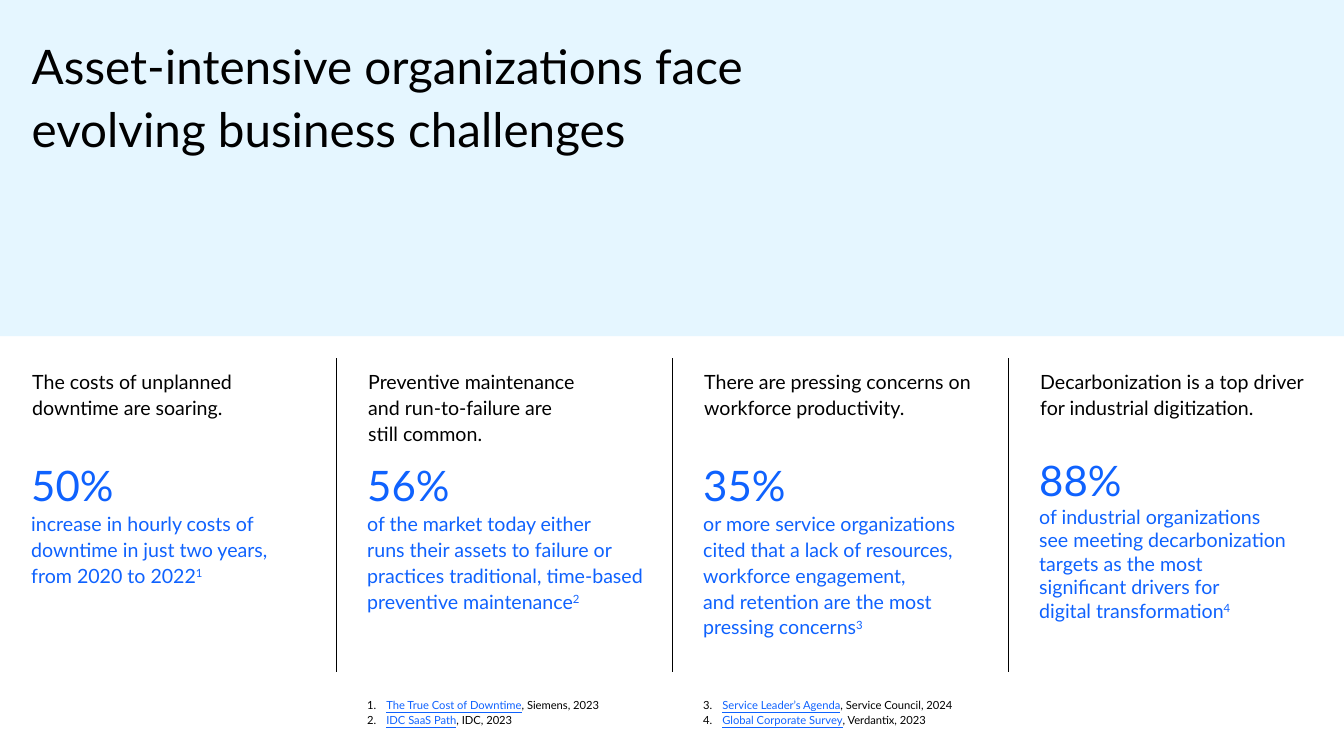
from dataclasses import dataclass

from lxml.etree import SubElement
from pptx import Presentation
from pptx.dml.color import RGBColor
from pptx.enum.shapes import MSO_CONNECTOR, MSO_SHAPE
from pptx.enum.text import MSO_ANCHOR, MSO_AUTO_SIZE, PP_ALIGN
from pptx.oxml.ns import qn
from pptx.util import Inches, Pt

WIDTH, HEIGHT = 26.67, 15
COLUMN = WIDTH / 4
MARGIN = 0.64
TEXT_WIDTH = 5.4
FONT = "Lato"
COLORS = {"band": "E5F6FF", "ink": "000000", "accent": "0F62FE"}


@dataclass
class Challenge:
    heading: str
    figure: str
    detail: str
    note: str
    text_width: float = TEXT_WIDTH
    line_spacing: float = 1.1


CHALLENGES = [
    Challenge("The costs of unplanned downtime are soaring.", "50%",
              "increase in hourly costs of downtime in just two years, from 2020 to 2022", "1"),
    Challenge("Preventive maintenance\vand run-to-failure are\vstill common.", "56%",
              "of the market today either\vruns their assets to failure or practices "
              "traditional, time-based preventive maintenance", "2", text_width=5.55),
    Challenge("There are pressing concerns on workforce productivity.", "35%",
              "or more service organizations cited that a lack of resources, workforce "
              "engagement,\vand retention are the most pressing concerns", "3"),
    Challenge("Decarbonization is a top driver for industrial digitization.", "88%",
              "of industrial organizations\vsee meeting decarbonization targets as the most"
              "\vsignificant drivers for\vdigital transformation", "4", line_spacing=1.0),
]

# Grid column -> number of the first source, and the sources as (title, publisher and year)
SOURCES = {
    1: (1, [("The True Cost of Downtime", ", Siemens, 2023"), ("IDC SaaS Path", ", IDC, 2023")]),
    2: (3, [("Service Leader’s Agenda", ", Service Council, 2024"),
            ("Global Corporate Survey", ", Verdantix, 2023")]),
}


def color(name):
    return RGBColor.from_string(COLORS[name])


def column_left(index):
    return index * COLUMN + MARGIN


def place(shape, left, top, width, height):
    shape.left, shape.top = Inches(left), Inches(top)
    shape.width, shape.height = Inches(width), Inches(height)


def prepare_frame(shape, anchor=MSO_ANCHOR.TOP, right_inset=0):
    frame = shape.text_frame
    frame.word_wrap = True
    frame.auto_size = MSO_AUTO_SIZE.NONE
    frame.vertical_anchor = anchor
    frame.margin_left = frame.margin_top = frame.margin_bottom = 0
    frame.margin_right = Inches(right_inset)
    return frame


def add_text_area(slide, left, top, width, height, anchor=MSO_ANCHOR.TOP):
    area = slide.shapes.add_textbox(*map(Inches, (left, top, width, height)))
    return prepare_frame(area, anchor)


def style_paragraph(paragraph, size=None, ink="ink", spacing=1.1):
    paragraph.alignment = PP_ALIGN.LEFT
    paragraph.line_spacing = spacing
    paragraph.space_before = Pt(0)
    paragraph.font.name = FONT
    paragraph.font.color.rgb = color(ink)
    if size:
        paragraph.font.size = Pt(size)


def add_run(paragraph, text, size=None):
    run = paragraph.add_run()
    run.text = text
    if size:
        run.font.size = Pt(size)
    return run


def add_band(slide):
    band = slide.shapes.add_shape(MSO_SHAPE.RECTANGLE, 0, 0, Inches(WIDTH), Inches(COLUMN))
    band.shadow.inherit = False
    band.fill.solid()
    band.fill.fore_color.rgb = color("band")
    band.line.fill.background()
    slide.shapes._spTree.insert(2, band._element)  # behind the placeholders


def add_divider(slide, x):
    divider = slide.shapes.add_connector(
        MSO_CONNECTOR.STRAIGHT, Inches(x), Inches(7.11), Inches(x), Inches(13.34))
    divider.line.color.rgb = color("ink")
    divider.line.width = Pt(1)
    SubElement(divider._element.spPr, qn("a:effectLst"))


def fill_title(slide):
    title = slide.shapes.title
    place(title, 0.63, 0.62, 15.54, 4.4)
    paragraph = prepare_frame(title, right_inset=0.5).paragraphs[0]
    paragraph.text = "Asset-intensive organizations face evolving business challenges"
    style_paragraph(paragraph, 68)


def add_heading(slide, index, challenge):
    frame = add_text_area(slide, column_left(index), 7.29, TEXT_WIDTH, 1.03)
    paragraph = frame.paragraphs[0]
    paragraph.text = challenge.heading
    style_paragraph(paragraph, 28)


def add_statistic(slide, index, challenge):
    """The first column uses the body placeholder, the others use text boxes."""
    bounds = column_left(index) - 0.02, 9.01, challenge.text_width, 4.12
    if index == 0:
        body = slide.placeholders[1]
        place(body, *bounds)
        frame = prepare_frame(body)
    else:
        frame = add_text_area(slide, *bounds)
    paragraph = frame.paragraphs[0]
    properties = paragraph._p.get_or_add_pPr()
    properties.set("marL", "0")
    properties.set("indent", "0")
    SubElement(properties, qn("a:buNone"))
    style_paragraph(paragraph, ink="accent", spacing=challenge.line_spacing)
    add_run(paragraph, challenge.figure, 60)
    for line in challenge.detail.split("\v"):
        paragraph.add_line_break()
        add_run(paragraph, line, 28)
    note = add_run(paragraph, challenge.note, 28)
    note._r.get_or_add_rPr().set("baseline", "30000")


def number_paragraph(paragraph, start):
    properties = paragraph._p.get_or_add_pPr()
    indent = Inches(0.38)
    properties.set("marL", str(indent))
    properties.set("indent", str(-indent))
    bullet_color = SubElement(properties, qn("a:buClr"))
    SubElement(bullet_color, qn("a:srgbClr"), val=COLORS["ink"])
    SubElement(properties, qn("a:buFont"), typeface=FONT)
    SubElement(properties, qn("a:buAutoNum"), type="arabicPeriod", startAt=str(start))


def add_sources(slide, index, start, sources):
    frame = add_text_area(slide, column_left(index) - 0.02, 13.33, TEXT_WIDTH, 1.09,
                          MSO_ANCHOR.BOTTOM)
    for position, (work, publisher) in enumerate(sources):
        paragraph = frame.add_paragraph() if position else frame.paragraphs[0]
        number_paragraph(paragraph, start)
        style_paragraph(paragraph, 16)
        work_run = add_run(paragraph, work)
        work_run.font.color.rgb = color("accent")
        work_run.font.underline = True
        add_run(paragraph, publisher)


def main():
    deck = Presentation()
    deck.slide_width, deck.slide_height = Inches(WIDTH), Inches(HEIGHT)
    slide = deck.slides.add_slide(deck.slide_layouts[1])
    add_band(slide)
    fill_title(slide)
    for index, challenge in enumerate(CHALLENGES):
        if index:
            add_divider(slide, index * COLUMN)
        add_heading(slide, index, challenge)
        add_statistic(slide, index, challenge)
    for index, (start, sources) in SOURCES.items():
        add_sources(slide, index, start, sources)
    deck.save("out.pptx")


if __name__ == "__main__":
    main()
